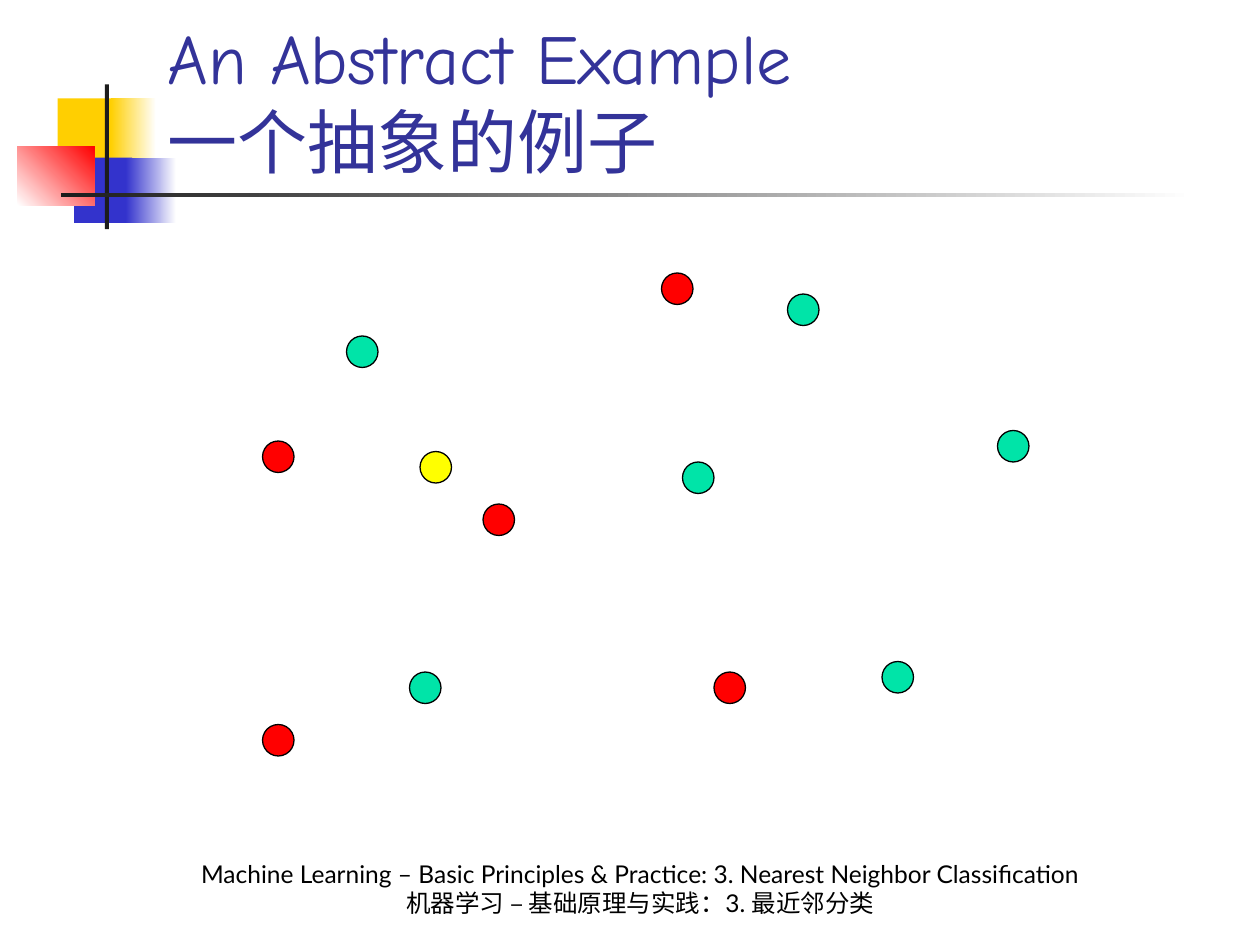
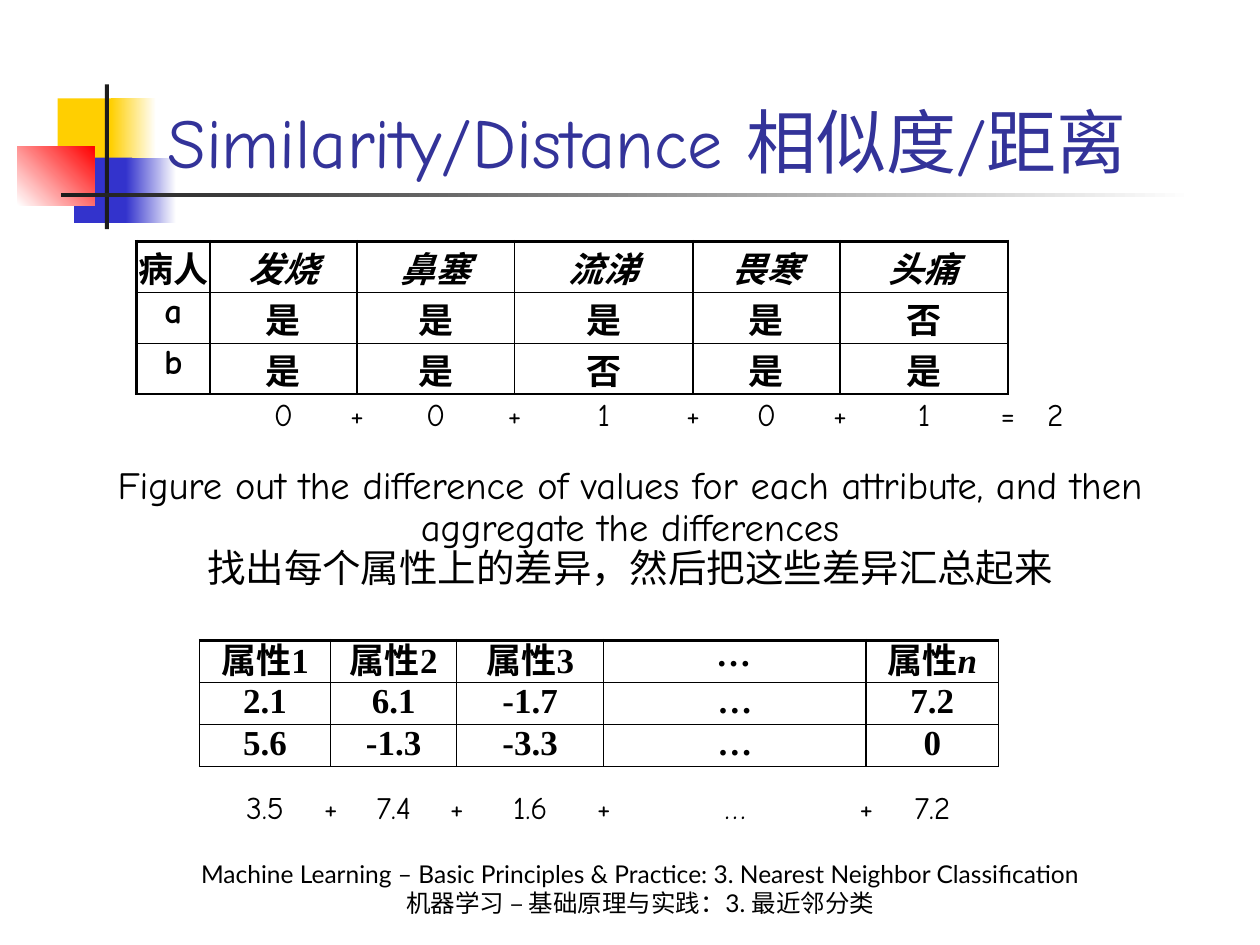
from dataclasses import dataclass
from itertools import accumulate

from lxml.etree import SubElement
from pptx import Presentation
from pptx.dml.color import RGBColor
from pptx.enum.shapes import MSO_SHAPE
from pptx.enum.text import MSO_ANCHOR, MSO_AUTO_SIZE, PP_ALIGN
from pptx.oxml.ns import qn
from pptx.util import Pt


@dataclass(frozen=True)
class Theme:
    """Colours, typefaces and sizes shared by the slides."""
    ink: str = "000000"
    paper: str = "FFFFFF"
    title: str = "333399"
    gold: str = "FFCF01"
    blue: str = "3333CC"
    red: str = "FF0000"
    charcoal: str = "1C1C1C"
    green: str = "00E4A8"
    yellow: str = "FFFF00"
    hand: str = "Comic Neue"
    sans: str = "Lato"
    serif: str = "Times New Roman"
    title_size: int = 40
    remark_size: int = 22
    cell_size: int = 20
    sum_size: int = 18
    footer_size: int = 14
    thin: float = 1
    thick: float = 2.25


@dataclass(frozen=True)
class Entry:
    """One table cell: its text, typeface, slant and trailing italic symbol."""
    text: str
    face: str
    italic: bool = False
    symbol: str = ""


THEME = Theme()
FOOTER = ("Machine Learning – Basic Principles & Practice: 3. Nearest Neighbor Classification",
          "机器学习 – 基础原理与实践：3. 最近邻分类")
REMARK = ("Figure out the difference of values for each attribute, and then aggregate the differences",
          "找出每个属性上的差异，然后把这些差异汇总起来")
DOT = 18


def rgb(value):
    """Turn a hex string into a colour."""
    return RGBColor.from_string(value)


def points(*lengths):
    """Turn numbers into lengths in points."""
    return [Pt(length) for length in lengths]


def style(paragraph, face, size, color=THEME.ink, align=PP_ALIGN.CENTER):
    """Set the font and alignment of a paragraph."""
    paragraph.alignment = align
    paragraph.font.name = face
    paragraph.font.size = Pt(size)
    paragraph.font.color.rgb = rgb(color)


def add_text(slide, box, lines, face, size, anchor=MSO_ANCHOR.TOP, spacing=None):
    """Add centred, wrapped lines in a box."""
    frame = slide.shapes.add_textbox(*points(*box)).text_frame
    frame.word_wrap = True
    frame.vertical_anchor = anchor
    frame.text = "\n".join(lines)
    for paragraph in frame.paragraphs:
        style(paragraph, face, size)
        paragraph.line_spacing = spacing


def add_filled(slide, kind, box, *colors, angle=0):
    """Add a shape with a solid fill, or a gradient for two colours."""
    shape = slide.shapes.add_shape(kind, *points(*box))
    shape.shadow.inherit = False
    shape.line.fill.background()
    if len(colors) == 1:
        shape.fill.solid()
        shape.fill.fore_color.rgb = rgb(colors[0])
    else:
        shape.fill.gradient()
        shape.fill.gradient_angle = angle
        for stop, color in zip(shape.fill.gradient_stops, colors):
            stop.color.rgb = rgb(color)
    return shape


def decorate_layout(slide, left, top):
    """Draw the corner emblem and title rule, then hand them to the layout."""
    emblem = [
        ((23, 8, 34.6, 37.4), (THEME.gold,), 0),
        ((53.3, 8, 25.9, 37.4), (THEME.gold, THEME.paper), 0),
        ((32.4, 41.8, 33.1, 37.4), (THEME.blue,), 0),
        ((62, 41.8, 28.8, 37.4), (THEME.blue, THEME.paper), 0),
        ((0, 35.6, 44, 33.6), (THEME.paper, THEME.red), 45),
        ((50, 0, 2.2, 82.8), (THEME.charcoal,), 0),
        ((24.6, 62.1, 648, 2.2), (THEME.charcoal, THEME.paper), 0),
    ]
    for number, ((x, y, width, height), colors, angle) in enumerate(emblem, 100):
        part = add_filled(slide, MSO_SHAPE.RECTANGLE, (left + x, top + y, width, height),
                          *colors, angle=angle)
        part._element.nvSpPr.cNvPr.set("id", str(number))
        slide.slide_layout.shapes._spTree.append(part._element)


def add_base(deck, heading):
    """Add a slide with its title and footer."""
    slide = deck.slides.add_slide(deck.slide_layouts[5])
    title = slide.shapes.title
    title.left, title.top, title.width, title.height = points(88.5, 36, 613.5, 72)
    frame = title.text_frame
    frame.text = heading
    frame.word_wrap = True
    frame.auto_size = MSO_AUTO_SIZE.NONE
    frame.vertical_anchor = MSO_ANCHOR.BOTTOM
    style(frame.paragraphs[0], THEME.hand, THEME.title_size, THEME.title, PP_ALIGN.LEFT)
    add_text(slide, (60, 492, 612, 36), FOOTER, THEME.sans, THEME.footer_size, MSO_ANCHOR.BOTTOM)
    return slide


def add_samples(slide, left, top):
    """Scatter the labelled samples and the unlabelled one."""
    samples = {
        THEME.red: [(0, 96), (0, 258), (258, 228), (228, 0), (126, 132)],
        THEME.green: [(48, 36), (300, 12), (420, 90), (354, 222), (240, 108), (84, 228)],
        THEME.yellow: [(90, 102)],
    }
    for color, places in samples.items():
        for x, y in places:
            sample = add_filled(slide, MSO_SHAPE.OVAL, (left + x, top + y, DOT, DOT), color)
            sample.line.color.rgb = rgb(THEME.ink)
            sample.line.width = Pt(0.75)


def set_borders(cell, **widths):
    """Draw the four borders of a cell ahead of its fill."""
    properties = cell._tc.get_or_add_tcPr()
    for index, side in enumerate("LRTB"):
        border = SubElement(properties, qn(f"a:ln{side}"), w=str(Pt(widths.get(side, THEME.thin))))
        fill = SubElement(border, qn("a:solidFill"))
        SubElement(fill, qn("a:srgbClr"), val=THEME.ink)
        properties.insert(index, border)


def add_grid(slide, left, top, columns, row_height, rows, thick_left=False, header_spacing=None):
    """Add a ruled table of entries with a heavy top edge."""
    box = points(left, top, sum(columns), row_height * len(rows))
    grid = slide.shapes.add_table(len(rows), len(columns), *box).table
    grid.first_row = grid.horz_banding = False
    for column, width in zip(grid.columns, columns):
        column.width = Pt(width)
    for r, entries in enumerate(rows):
        grid.rows[r].height = Pt(row_height)
        for c, entry in enumerate(entries):
            cell = grid.cell(r, c)
            cell.margin_left = cell.margin_right = cell.margin_top = cell.margin_bottom = 0
            cell.fill.background()
            set_borders(cell, T=THEME.thin if r else THEME.thick,
                        L=THEME.thick if thick_left and c == 0 else THEME.thin)
            cell.text = entry.text
            paragraph = cell.text_frame.paragraphs[0]
            style(paragraph, entry.face, THEME.cell_size)
            paragraph.font.bold = True
            paragraph.font.italic = entry.italic
            if r == 0:
                paragraph.line_spacing = header_spacing
            if entry.symbol:
                symbol = paragraph.add_run()
                symbol.text = entry.symbol
                symbol.font.italic = True


def add_sum(slide, left, top, columns, differences, operators):
    """Centre differences under columns and operators on the edges between them."""
    edges = list(accumulate(columns, initial=left))
    middles = [edge + width / 2 for edge, width in zip(edges, columns)]
    for middle, term in [*zip(middles, differences), *zip(edges[1:], operators)]:
        add_text(slide, (middle - 24, top, 48, 28.8), [term], THEME.hand, THEME.sum_size)


def add_patients(slide, left, top):
    """Compare two patients by their symptoms."""
    columns = [42, 84, 90, 102, 84, 96]
    header = [Entry("病人", THEME.hand)]
    header += [Entry(symptom, THEME.serif, True) for symptom in ("发烧", "鼻塞", "流涕", "畏寒", "头痛")]
    patients = [[Entry(name, THEME.hand)] + [Entry(answer, THEME.serif) for answer in answers]
                for name, answers in (("a", "是是是是否"), ("b", "是是否是是"))]
    add_grid(slide, left, top, columns, 29.1, [header, *patients], thick_left=True)
    add_sum(slide, left + columns[0], top + 84, columns[1:] + [54], "001012", "++++=")


def add_attributes(slide, left, top):
    """Compare two records by numeric attributes."""
    columns = [75, 72, 84, 150, 75.6]
    header = [Entry(f"属性{number}", THEME.serif) for number in (1, 2, 3)]
    header += [Entry("…", THEME.serif, True), Entry("属性", THEME.serif, symbol="n")]
    records = [[Entry(value, THEME.serif) for value in record]
               for record in (("2.1", "6.1", "-1.7", "…", "7.2"), ("5.6", "-1.3", "-3.3", "…", "0"))]
    add_grid(slide, left, top, columns, 24, [header, *records], header_spacing=0.82)
    add_sum(slide, left, top + 81, columns, ("3.5", "7.4", "1.6", "…", "7.2"), "++++")


def main():
    """Build and save the two slides."""
    deck = Presentation()
    deck.slide_width, deck.slide_height = points(720, 540)

    example = add_base(deck, "An Abstract Example\v一个抽象的例子")
    decorate_layout(example, 10, 48.2)
    add_samples(example, 150, 156)

    distance = add_base(deck, "Similarity/Distance 相似度/距离")
    add_patients(distance, 78, 138)
    add_text(distance, (30, 263, 660, 79), REMARK, THEME.hand, THEME.remark_size, spacing=0.9)
    add_attributes(distance, 114, 366)

    deck.save("out.pptx")


if __name__ == "__main__":
    main()
